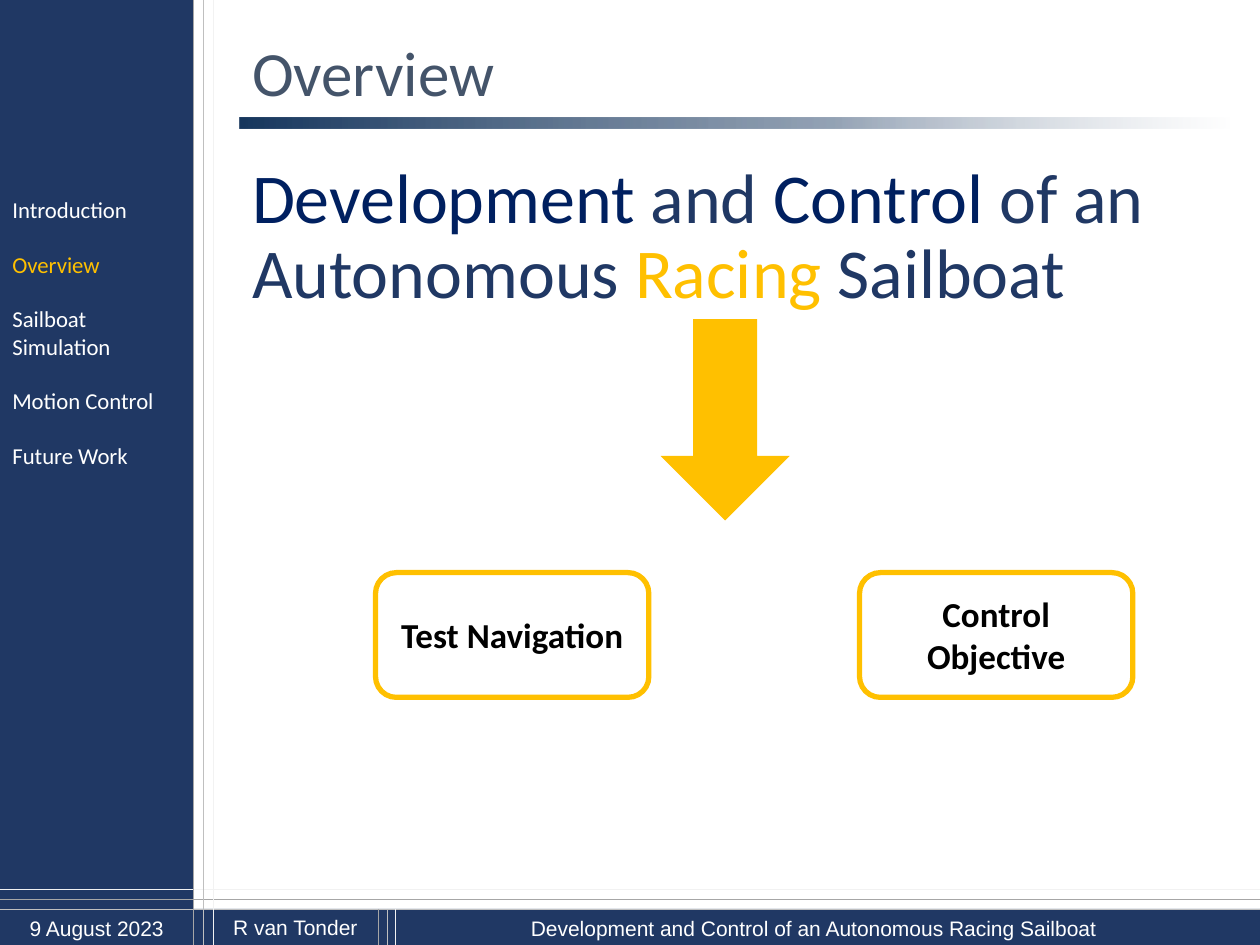
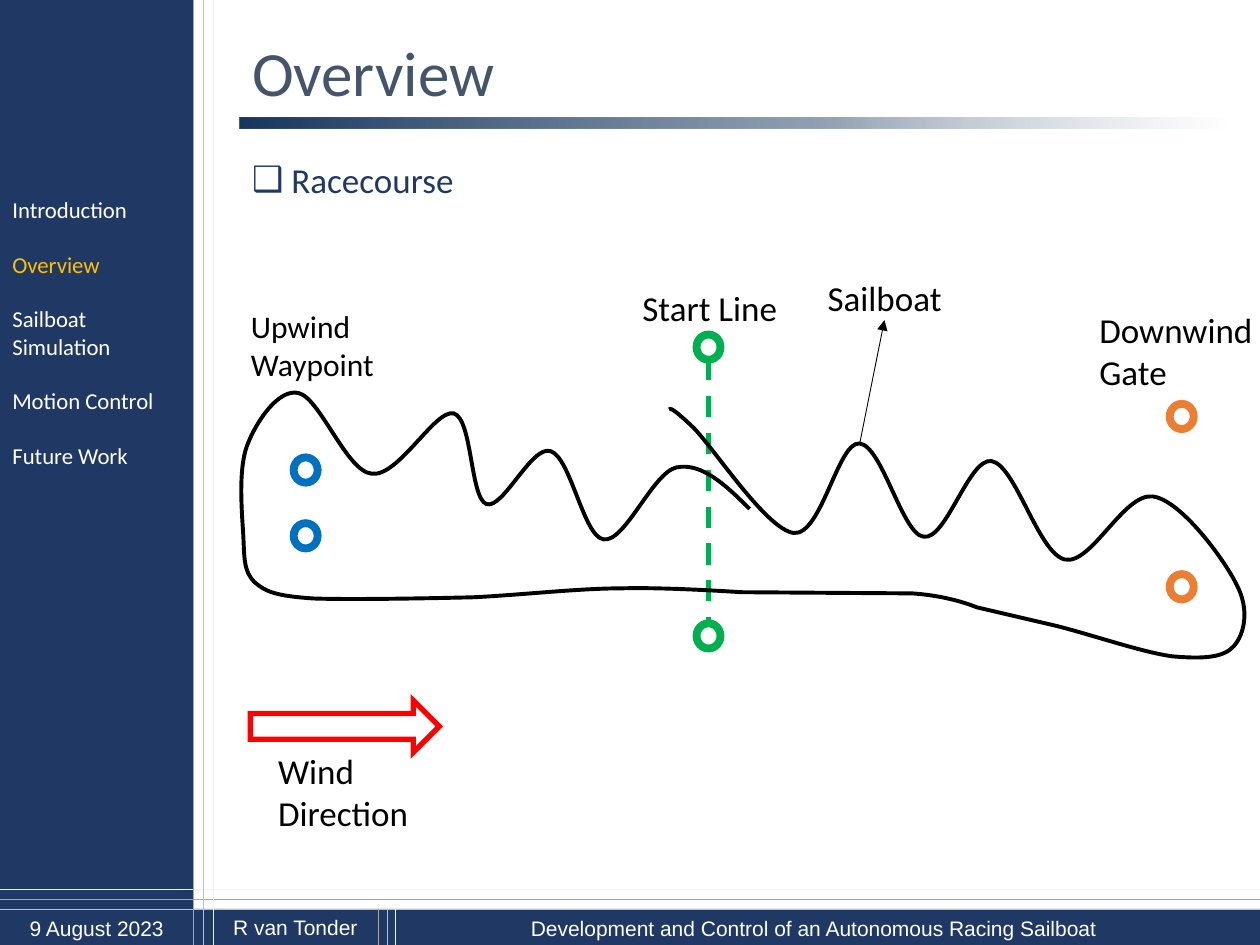
from dataclasses import dataclass

from lxml import etree
from pptx import Presentation
from pptx.dml.color import RGBColor
from pptx.enum.dml import MSO_LINE
from pptx.enum.shapes import MSO_CONNECTOR, MSO_SHAPE
from pptx.enum.text import MSO_ANCHOR, MSO_AUTO_SIZE, PP_ALIGN
from pptx.oxml.ns import qn
from pptx.util import Pt

RECT, ROUNDED = MSO_SHAPE.RECTANGLE, MSO_SHAPE.ROUNDED_RECTANGLE
DOWN_ARROW, RIGHT_ARROW = MSO_SHAPE.DOWN_ARROW, MSO_SHAPE.RIGHT_ARROW
BUOY = MSO_SHAPE.FLOWCHART_CONNECTOR
STRAIGHT, DASH = MSO_CONNECTOR.STRAIGHT, MSO_LINE.DASH
LEFT, CENTER = PP_ALIGN.LEFT, PP_ALIGN.CENTER
TOP, MIDDLE, BOTTOM = MSO_ANCHOR.TOP, MSO_ANCHOR.MIDDLE, MSO_ANCHOR.BOTTOM
NO_FIT, GROW = MSO_AUTO_SIZE.NONE, MSO_AUTO_SIZE.SHAPE_TO_FIT_TEXT

# Shared look
NAVY, DARK_BLUE, SLATE, GOLD = "203864", "002060", "44546A", "FFC000"
WHITE, BLACK, GREEN, BLUE = "FFFFFF", "000000", "00B050", "0070C0"
ORANGE, RED = "ED7D31", "FF0000"
PALE, GREY, SILVER = "F2F2F2", "A6A6A6", "BFBFBF"
BODY_FONT, FOOTER_FONT = "Calibri", "Arial"
WIDTH, HEIGHT = 720, 540
SIDEBAR_W, FOOTER_Y = 110.6, 519.4
CONTENT_X, CONTENT_W = 136.8, 565.9
SECTIONS = ["Introduction", "Overview", "Sailboat Simulation",
            "Motion Control", "Future Work"]
Box = tuple[float, float, float, float]
Point = tuple[float, float]


@dataclass
class Label:
    text: str
    box: Box
    size: float = 20
    color: str = BLACK
    font: str = BODY_FONT
    align: PP_ALIGN = LEFT


@dataclass
class Buoy:
    x: float
    y: float
    color: str
    fill: str | None = WHITE


FOOTERS = [
    Label("9 August 2023", (0, FOOTER_Y, SIDEBAR_W, 21.6), 12, WHITE, FOOTER_FONT, CENTER),
    Label("Development and Control of an Autonomous Racing Sailboat",
          (210.2, 519.8, 509.8, 21.6), 12, WHITE, FOOTER_FONT, CENTER),
    Label("R van Tonder", (122, 519.1, 93.6, 21.6), 12, WHITE, FOOTER_FONT, CENTER),
]
COURSE_LABELS = [
    Label("Start Line", (360, 160.3, 99.4, 31.7)),
    Label("Downwind Gate", (621.1, 172.8, 108, 55.4)),
    Label("Upwind Waypoint", (136.3, 172.1, 90, 51.1), 18),
    Label("Wind Direction", (151.8, 424.8, 90, 55.4)),
    Label("Sailboat", (465.8, 154.5, 82.8, 31.7)),
]
BUOYS = [
    Buoy(398, 191.2, GREEN, None), Buoy(398, 356.2, GREEN, None),
    Buoy(167.8, 261.4, BLUE), Buoy(167.8, 299, BLUE),
    Buoy(668.4, 230.8, ORANGE), Buoy(668.4, 328.1, ORANGE),
]

# Sailed course: one point is a straight leg, three points a Bézier curve
COURSE_BOX = (137.6, 224, 573.3, 151.9)
COURSE_START = (428.4, 290.9)
COURSE = [
    [(414.7, 277.2), (401, 264.2), (386.6, 267.1)],
    [(373, 270), (357.1, 310.3), (344.9, 308.2)],
    [(333.4, 306.7), (326.2, 261.4), (314.6, 257.8)],
    [(303.8, 254.2), (287.3, 291.6), (277.9, 288)],
    [(268.6, 284.4), (270, 239), (259.2, 236.2)],
    [(248.4, 234), (227.5, 272.9), (212.4, 270.7)],
    [(198, 269.3), (182.9, 227.5), (170.6, 224.6)],
    [(159.1, 221.8), (146.2, 241.2), (141.1, 254.9)],
    [(136.1, 268.6), (138.2, 292.3), (139, 305.3)],
    [(139.7, 318.2), (139, 326.2), (145.4, 332.6)],
    [(151.9, 338.4), (158.4, 340.6), (179.3, 342)],
    [(200.2, 342.7), (241.9, 342), (270.7, 341.3)],
    [(300.2, 339.8), (330.5, 336.2), (355.7, 336.2)],
    [(380.9, 335.5), (423.4, 338.4), (423.4, 338.4)],
    [(521.3, 339.1)],
    [(543.6, 340.6), (558, 347), (558, 347)],
    [(601.2, 357.1)],
    [(619.9, 361.4), (653, 373), (670.3, 375.1)],
    [(687.6, 376.6), (699.1, 375.8), (704.9, 369.4)],
    [(711.4, 362.2), (714.2, 347.8), (706.3, 333.4)],
    [(699.1, 319), (674.6, 285.8), (658.8, 283.7)],
    [(642.2, 281.5), (623.5, 323.3), (608.4, 319.7)],
    [(593.3, 316.1), (580.3, 265.7), (566.6, 263.5)],
    [(553.7, 261.4), (540.7, 308.9), (527.8, 306.7)],
    [(515.5, 305.3), (504, 254.2), (491, 253.4)],
    [(478.8, 252.7), (469.4, 306), (453.6, 304.6)],
    [(437.8, 302.4), (408.2, 256.3), (396, 244.1)],
    [(383.8, 232.6), (383, 233.3), (382.3, 234)],
]


def rgb(value: str) -> RGBColor:
    return RGBColor.from_string(value)


def style_run(r, size: float, color: str, font: str = BODY_FONT, bold: bool = False) -> None:
    r.font.size, r.font.name, r.font.bold = Pt(size), font, bold
    r.font.color.rgb = rgb(color)


def add_to_line(sp, tag: str, **attributes: str) -> None:
    etree.SubElement(sp.element.spPr.find(qn("a:ln")), qn(tag), **attributes)


def paint(sp, fill: str | None, line: str | None, weight: float = 1) -> None:
    sp.shadow.inherit = False
    if fill:
        sp.fill.solid()
        sp.fill.fore_color.rgb = rgb(fill)
    else:
        sp.fill.background()
    if line:
        sp.line.color.rgb = rgb(line)
        sp.line.width = Pt(weight)
        add_to_line(sp, "a:miter", lim="800000")
    else:
        sp.line.fill.background()


def add_block(slide, kind, box: Box, fill: str | None, line: str | None = None,
              weight: float = 1):
    sp = slide.shapes.add_shape(kind, *map(Pt, box))
    paint(sp, fill, line, weight)
    return sp


def add_label(slide, label: Label):
    sp = slide.shapes.add_textbox(*map(Pt, label.box))
    tf = sp.text_frame
    tf.word_wrap, tf.auto_size = True, GROW
    tf.text = label.text
    for p in tf.paragraphs:
        p.alignment = label.align
        style_run(p.runs[0], label.size, label.color, label.font)
    return sp


def add_line(slide, start: Point, end: Point, color: str, weight: float = 0.25):
    sp = slide.shapes.add_connector(STRAIGHT, *map(Pt, start + end))
    sp.line.color.rgb = rgb(color)
    sp.line.width = Pt(weight)
    etree.SubElement(sp.element.spPr, qn("a:effectLst"))
    return sp


def fade_right(sp, stops: list[tuple[int, str, int]]) -> None:
    """Fill with a left-to-right gradient of (position, colour, opacity) in percent."""
    sp.fill.gradient()
    sp.fill.gradient_angle = 0
    stop_list = sp.element.spPr.find(".//" + qn("a:gsLst"))
    stop_list.clear()
    for position, color, opacity in stops:
        stop = etree.SubElement(stop_list, qn("a:gs"), pos=str(position * 1000))
        clr = etree.SubElement(stop, qn("a:srgbClr"), val=color)
        etree.SubElement(clr, qn("a:alpha"), val=str(opacity * 1000))


def add_frame(slide, layout) -> None:
    """Draw the bands, rules and footers and move them to the layout."""
    parts = [add_block(slide, RECT, (0, 0, SIDEBAR_W, HEIGHT), NAVY),
             add_block(slide, RECT, (0, FOOTER_Y, WIDTH, HEIGHT - FOOTER_Y), NAVY)]
    for y, color in zip((508.3, 514.1, FOOTER_Y), (PALE, GREY, SILVER)):
        parts.append(add_line(slide, (WIDTH, y), (0, y), color))
    for top, columns in ((0, (SIDEBAR_W, 115.9, 121.7)), (FOOTER_Y, (216, 221, 226.1))):
        for x, color in zip(columns, (GREY, SILVER, PALE)):
            parts.append(add_line(slide, (x, top), (x, HEIGHT), color))
    parts += [add_label(slide, footer) for footer in FOOTERS]
    bar = add_block(slide, RECT, (CONTENT_X, 67, CONTENT_W, 6.5), None)
    fade_right(bar, [(0, "17375E", 100), (60, "486180", 58), (100, WHITE, 32)])
    parts.append(bar)
    for number, sp in enumerate(parts, 100):
        sp.element.find(".//" + qn("p:cNvPr")).set("id", str(number))
        layout.shapes.element.append(sp.element)


def fill_placeholder(sp, top: float, height: float, anchor: MSO_ANCHOR, size: float,
                     pieces: list[tuple[str, str]], bullet: str | None = None) -> None:
    sp.left, sp.top, sp.width, sp.height = map(Pt, (CONTENT_X, top, CONTENT_W, height))
    tf = sp.text_frame
    tf.auto_size, tf.vertical_anchor, tf.word_wrap = NO_FIT, anchor, True
    p = tf.paragraphs[0]
    p.alignment, p.line_spacing, p.space_before = LEFT, 0.9, Pt(10)
    for text, color in pieces:
        r = p.add_run()
        r.text = text
        style_run(r, size, color)
    pPr = sp.element.find(".//" + qn("a:pPr"))
    indent = Pt(22.5) if bullet else 0
    pPr.set("marL", str(indent))
    pPr.set("indent", str(-indent))
    if bullet:
        etree.SubElement(pPr, qn("a:buChar"), char=bullet)
    else:
        etree.SubElement(pPr, qn("a:buNone"))


def add_sections(slide, current: str) -> None:
    sp = add_label(slide, Label("\n".join(SECTIONS), (0, 108.4, 108, 164.9), 13, WHITE))
    for p in sp.text_frame.paragraphs:
        if p.text != SECTIONS[-1]:
            p.space_after = Pt(15.6)
        if p.text == current:
            p.runs[0].font.color.rgb = rgb(GOLD)


def add_course(slide) -> None:
    """Outline the course leg by leg, then turn its legs into curves."""
    builder = slide.shapes.build_freeform(*map(Pt, COURSE_START))
    builder.add_line_segments([tuple(map(Pt, leg[-1])) for leg in COURSE], close=False)
    sp = builder.convert_to_shape()
    paint(sp, None, BLACK, 2.25)
    left, top, width, height = COURSE_BOX
    sp.left, sp.top, sp.width, sp.height = map(Pt, COURSE_BOX)
    outline = sp.element.spPr.find(".//" + qn("a:path"))
    outline.clear()
    outline.set("w", str(Pt(width)))
    outline.set("h", str(Pt(height)))
    for i, leg in enumerate([[COURSE_START]] + COURSE):
        tag = "a:moveTo" if i == 0 else "a:cubicBezTo" if len(leg) == 3 else "a:lnTo"
        step = etree.SubElement(outline, qn(tag))
        for x, y in leg:
            etree.SubElement(step, qn("a:pt"), x=str(Pt(x - left)), y=str(Pt(y - top)))


def build_goals(slide) -> None:
    fill_placeholder(slide.placeholders[1], 89.3, 420.5, TOP, 40, [
        ("Development", DARK_BLUE), (" and ", NAVY), ("Control", DARK_BLUE),
        (" of an Autonomous ", NAVY), ("Racing", GOLD), (" Sailboat", NAVY)])
    add_block(slide, DOWN_ARROW, (378.7, 182.9, 71.3, 113.8), GOLD, GOLD)
    for i, goal in enumerate(("Test Navigation", "Control Objective")):
        sp = add_block(slide, ROUNDED, (214.6 + i * 276.6, 327.2, 156.2, 71.3),
                       WHITE, GOLD, 3)
        tf = sp.text_frame
        tf.text = goal
        tf.word_wrap, tf.vertical_anchor = True, MIDDLE
        tf.paragraphs[0].alignment = CENTER
        style_run(tf.paragraphs[0].runs[0], 20, BLACK, bold=True)


def build_racecourse(slide) -> None:
    fill_placeholder(slide.placeholders[1], 89.6, 29.5, TOP, 20,
                     [("Racecourse", NAVY)], bullet="❑")
    for buoy in BUOYS:
        add_block(slide, BUOY, (buoy.x, buoy.y, 13.7, 14.4), buoy.fill, buoy.color, 4.5)
    start_line = add_line(slide, (404.9, 205.4), (404.9, 356.4), GREEN, 3)
    start_line.line.dash_style = DASH
    add_block(slide, RIGHT_ARROW, (143, 400.3, 108, 29.5), None, RED, 3)
    add_course(slide)
    pointer = add_line(slide, (491.3, 253.4), (505.4, 182.9), BLACK, 0.5)
    add_to_line(pointer, "a:tailEnd", type="triangle")
    for label in COURSE_LABELS:
        add_label(slide, label)


def main() -> None:
    prs = Presentation()
    prs.slide_width, prs.slide_height = Pt(WIDTH), Pt(HEIGHT)
    layout = prs.slide_layouts[1]
    for i, build in enumerate((build_goals, build_racecourse)):
        slide = prs.slides.add_slide(layout)
        if i == 0:
            add_frame(slide, layout)
        fill_placeholder(slide.shapes.title, 15.5, 51.1, BOTTOM, 36, [("Overview", SLATE)])
        build(slide)
        add_sections(slide, "Overview")
    prs.save("out.pptx")


if __name__ == "__main__":
    main()
